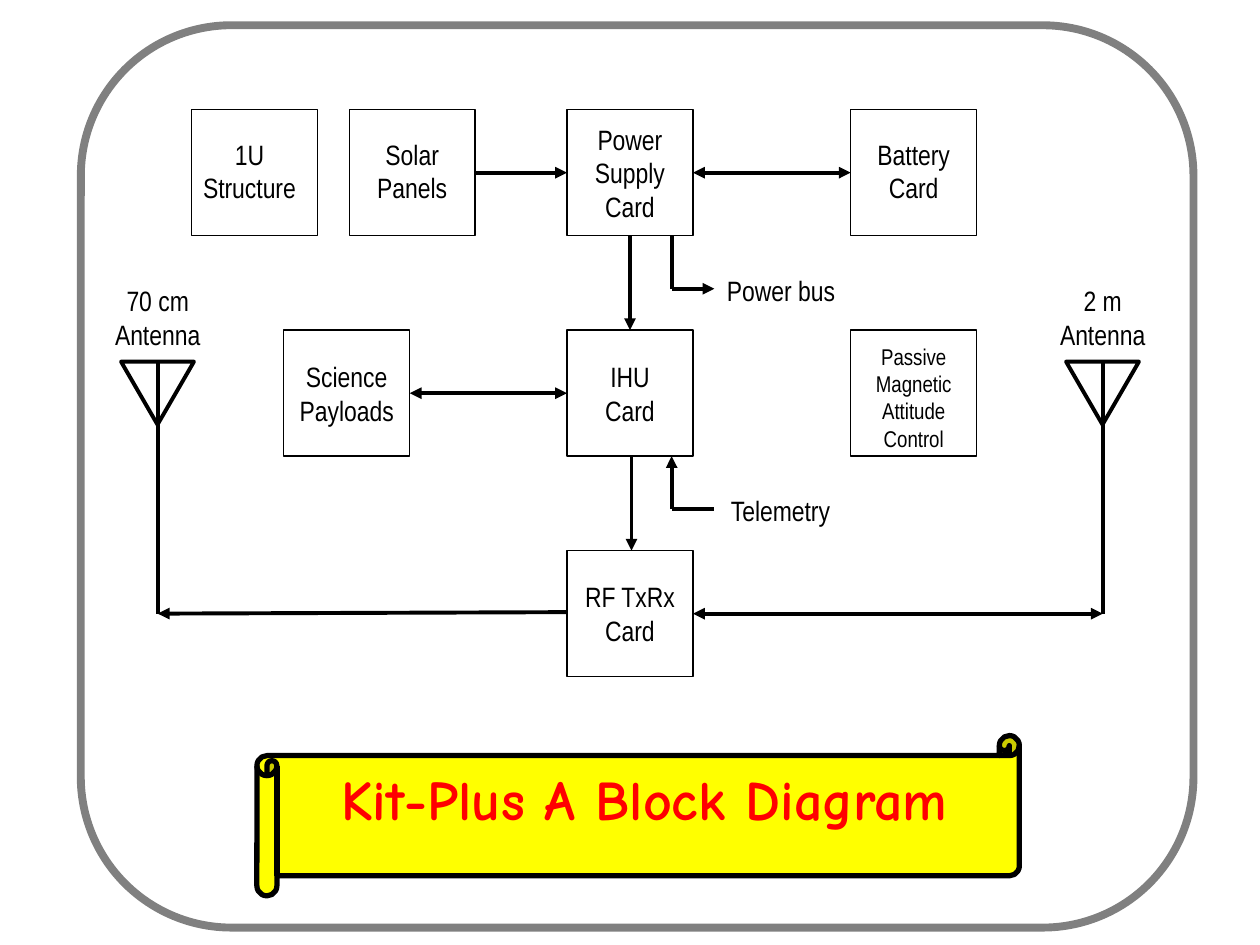
import pptx
import pptx.util
import pptx.dml.color
import pptx.enum.shapes
import pptx.enum.text
import pptx.oxml.ns
import lxml.etree

Cm, Pt = pptx.util.Cm, pptx.util.Pt
SHAPE = pptx.enum.shapes.MSO_SHAPE
ANCHOR = pptx.enum.text.MSO_ANCHOR
COLORS = {"ink": "000000", "frame": "808080", "scroll": "FFFF00", "title": "FF0000"}

deck = pptx.Presentation()
deck.slide_width, deck.slide_height = Cm(25.4), Cm(19.05)
page = deck.slides.add_slide(deck.slide_layouts[6])


def add_outline(kind, left, top, width, height, weight, line="ink", fill=None):
    """Add an outlined preset shape, unfilled unless a fill is named."""
    shape = page.shapes.add_shape(kind, Cm(left), Cm(top), Cm(width), Cm(height))
    shape.shadow.inherit = False
    shape.line.width = Pt(weight)
    shape.line.color.rgb = pptx.dml.color.RGBColor.from_string(COLORS[line])
    if fill:
        shape.fill.solid()
        shape.fill.fore_color.rgb = pptx.dml.color.RGBColor.from_string(COLORS[fill])
    else:
        shape.fill.background()
    return shape


def write(box, text, wrap, size=16, name="Arial Narrow", color="ink", bold=False):
    """Write centred text, one paragraph for each line of it."""
    frame = box.text_frame
    frame.word_wrap = wrap
    frame.text = text
    for para in frame.paragraphs:
        para.alignment = pptx.enum.text.PP_ALIGN.CENTER
        para.font.size, para.font.name, para.font.bold = Pt(size), name, bold
        para.font.color.rgb = pptx.dml.color.RGBColor.from_string(COLORS[color])


# Frame and title scroll
frame_shape = add_outline(SHAPE.ROUNDED_RECTANGLE, 1.63, 0.51, 22.43, 18.19, 4.51, "frame")
frame_shape.adjustments[0] = 0.167
add_outline(SHAPE.HORIZONTAL_SCROLL, 5.18, 14.83, 15.37, 3.23, 3, fill="scroll")
title = page.shapes.add_textbox(Cm(4.42), Cm(15.29), Cm(17.15), Cm(1.6))
write(title, "Kit-Plus A Block Diagram", True, 32, "Comic Neue", "title", True)

# Blocks: three rows at an even pitch
SIDE = 2.54
ROWS = [2.21 + 4.445 * row for row in range(3)]
CENTER, RIGHT = 11.43, 17.15
for left, row, text in [
    (3.86, 0, ""), (7.04, 0, ""), (CENTER, 0, "Power\nSupply\nCard"), (RIGHT, 0, ""),
    (5.72, 1, "Science\nPayloads"), (CENTER, 1, "IHU\nCard"), (RIGHT, 1, ""),
    (CENTER, 2, "RF TxRx\nCard"),
]:
    block = add_outline(SHAPE.RECTANGLE, left, ROWS[row], SIDE, SIDE, 0.74)
    if text:
        write(block, text, False)
        block.text_frame.vertical_anchor = ANCHOR.MIDDLE

# Captions: left, top, width, height, text, wrap, size
for left, top, width, height, text, wrap, size in [
    (3.76, 2.64, SIDE, 1.6, "1U Structure", True, 16),
    (7.04, 2.64, SIDE, 1.6, "Solar Panels", True, 16),
    (RIGHT, 2.64, SIDE, 1.6, "Battery\nCard", True, 16),
    (RIGHT, 6.78, SIDE, 2.46, "Passive\nMagnetic Attitude\nControl", True, 13),
    (14.4, 5.38, 2.69, 0.94, "Power bus", False, 16),
    (14.48, 9.83, 2.51, 0.94, "Telemetry", False, 16),
    (2.06, 5.59, 2.24, 1.6, "70 cm\nAntenna", False, 16),
    (21.11, 5.59, 2.24, 1.6, "2 m\nAntenna", False, 16),
]:
    caption = page.shapes.add_textbox(Cm(left), Cm(top), Cm(width), Cm(height))
    write(caption, text, wrap, size)

# Antennas
MASTS = [3.18, 22.23]
MAST_TOP, MAST_FOOT = 7.29, 12.37
for mast in MASTS:
    antenna = add_outline(SHAPE.ISOSCELES_TRIANGLE, mast - 0.74, MAST_TOP, 1.47, 1.27, 2.24)
    antenna.rotation = 180

# Lines: start, end, arrowheads
CENTER_RIGHT = CENTER + SIDE
MIDDLES = [top + SIDE / 2 for top in ROWS]
BOTTOMS = [top + SIDE for top in ROWS]
BRANCH, BRANCH_END = 13.54, 14.4
POWER_Y, TELEMETRY_Y = 5.82, 10.26
for x1, y1, x2, y2, ends in [
    (9.6, MIDDLES[0], CENTER, MIDDLES[0], ["tailEnd"]),
    (CENTER_RIGHT, MIDDLES[0], RIGHT, MIDDLES[0], ["headEnd", "tailEnd"]),
    (8.26, MIDDLES[1], CENTER, MIDDLES[1], ["headEnd", "tailEnd"]),
    (12.7, BOTTOMS[0], 12.7, ROWS[1], ["tailEnd"]),
    (12.73, BOTTOMS[1], 12.73, ROWS[2], ["tailEnd"]),
    (BRANCH, POWER_Y, BRANCH, BOTTOMS[0], []),
    (BRANCH, POWER_Y, BRANCH_END, POWER_Y, ["tailEnd"]),
    (BRANCH, TELEMETRY_Y, BRANCH, BOTTOMS[1], ["tailEnd"]),
    (BRANCH, TELEMETRY_Y, BRANCH_END, TELEMETRY_Y, []),
    (MASTS[0], MAST_TOP, MASTS[0], MAST_FOOT, []),
    (MASTS[1], MAST_TOP, MASTS[1], MAST_FOOT, []),
    (CENTER, 12.34, MASTS[0], MAST_FOOT, ["tailEnd"]),
    (MASTS[1], MAST_FOOT, CENTER_RIGHT, MAST_FOOT, ["headEnd", "tailEnd"]),
]:
    wire = page.shapes.add_connector(
        pptx.enum.shapes.MSO_CONNECTOR.STRAIGHT, Cm(x1), Cm(y1), Cm(x2), Cm(y2))
    wire.line.width = Pt(2.24)
    wire.line.color.rgb = pptx.dml.color.RGBColor.from_string(COLORS["ink"])
    for end in ends:
        lxml.etree.SubElement(
            wire.line._get_or_add_ln(), pptx.oxml.ns.qn("a:" + end), type="triangle")
    lxml.etree.SubElement(wire._element.spPr, pptx.oxml.ns.qn("a:effectLst"))

deck.save("out.pptx")
